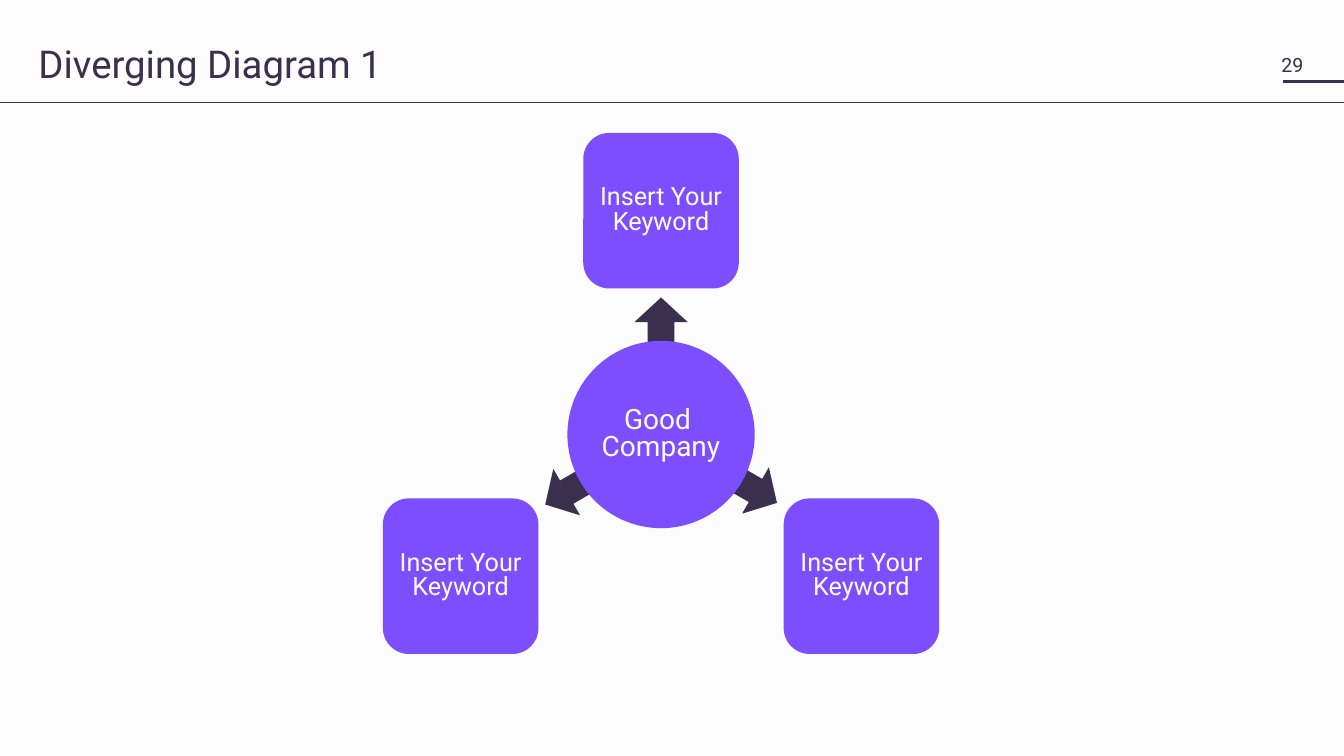
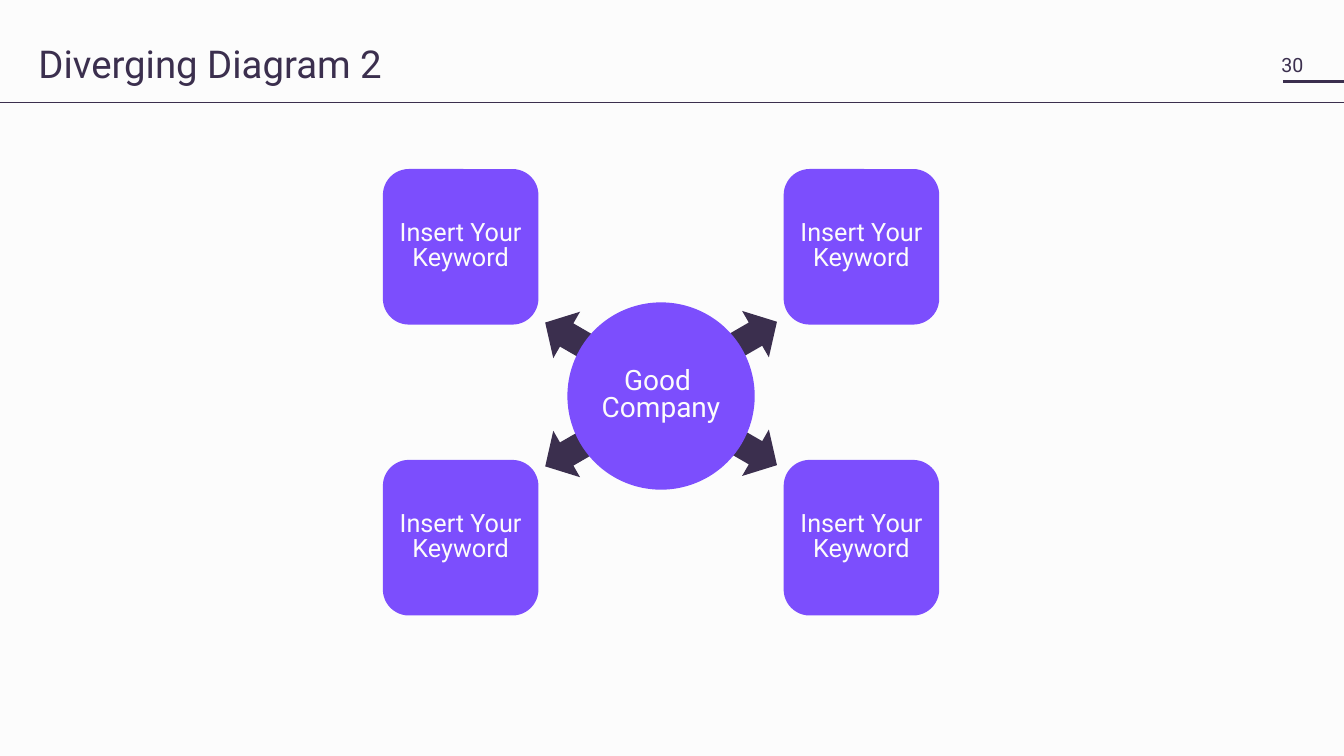
from dataclasses import dataclass

from lxml.etree import SubElement
from pptx import Presentation
from pptx.dml.color import RGBColor
from pptx.enum.shapes import MSO_CONNECTOR, MSO_SHAPE
from pptx.enum.text import MSO_ANCHOR, MSO_AUTO_SIZE, PP_ALIGN
from pptx.oxml.ns import qn
from pptx.util import Cm, Pt


@dataclass(frozen=True)
class Theme:
    """Colours, font and type sizes of the deck."""
    paper: RGBColor = RGBColor.from_string("FCFCFC")
    ink: RGBColor = RGBColor.from_string("3B2F4E")
    accent: RGBColor = RGBColor.from_string("7C4EFD")
    font: str = "Roboto"
    title: float = 27.4
    hub: float = 20
    keyword: float = 18
    number: float = 14


THEME = Theme()
WIDTH, HEIGHT = 33.87, 19.05
HUB_X, HUB_SIZE, BOX_SIZE = 16.66, 4.72, 3.92
ARROW_W, ARROW_H = 1.25, 1.35
BOX_DX, ARROW_DX = 5.05, 2.38

SLIDES = [
    {"title": "Diverging Diagram 1", "number": 29, "hub_y": 10.95,
     "spokes": [(0, -5.64, -2.83, 270), (1, 3.57, 1.41, 30),
                (-1, 3.57, 1.45, 150)]},
    {"title": "Diverging Diagram 2", "number": 30, "hub_y": 9.98,
     "spokes": [(1, -3.76, -1.56, 330), (-1, -3.76, -1.54, 210),
                (1, 3.57, 1.43, 30), (-1, 3.57, 1.46, 150)]},
]


def write(tf, text, size, color, align=PP_ALIGN.CENTER,
          anchor=MSO_ANCHOR.MIDDLE, spacing=1.0, inset=0, wrap=True):
    """Fill a text frame, one paragraph per line of text."""
    tf.auto_size = MSO_AUTO_SIZE.NONE
    tf.word_wrap = wrap
    tf.vertical_anchor = anchor
    tf.margin_left = tf.margin_right = Cm(inset)
    tf.margin_top = tf.margin_bottom = Cm(inset)
    for i, line in enumerate(text.split("\n")):
        p = tf.add_paragraph() if i else tf.paragraphs[0]
        p.alignment = align
        p.line_spacing = spacing
        p.space_before = Pt(0)
        r = p.add_run()
        r.text = line
        r.font.name = THEME.font
        r.font.size = Pt(size)
        r.font.color.rgb = color


class Deck:
    """Presentation style together with the current slide."""

    def __init__(self):
        """Set the slide size and the shared background."""
        self.prs = Presentation()
        self.prs.slide_width, self.prs.slide_height = Cm(WIDTH), Cm(HEIGHT)
        fill = self.prs.slide_master.background.fill
        fill.solid()
        fill.fore_color.rgb = THEME.paper

    def start(self, title, number):
        """Open a slide with its title, rules and page number."""
        self.s = self.prs.slides.add_slide(self.prs.slide_layouts[5])
        self.rule(32.33, 2.06, 2)
        self.rule(0, 2.59, 0.5)
        tb = self.s.shapes.add_textbox(Cm(32.11), Cm(1.17), Cm(0.91), Cm(0.94))
        write(tb.text_frame, str(number), THEME.number, THEME.ink,
              align=PP_ALIGN.LEFT, inset=0.18, wrap=False)
        sp = self.s.shapes.title
        sp.left, sp.top = Cm(0.84), Cm(1.14)
        sp.width, sp.height = Cm(29.03), Cm(1.37)
        write(sp.text_frame, title, THEME.title, THEME.ink, inset=0.13,
              align=PP_ALIGN.LEFT, anchor=MSO_ANCHOR.TOP, spacing=0.75)

    def rule(self, x, y, weight):
        """Draw a horizontal line from x to the right edge."""
        line = self.s.shapes.add_connector(
            MSO_CONNECTOR.STRAIGHT, Cm(x), Cm(y), Cm(WIDTH), Cm(y))
        line.line.color.rgb = THEME.ink
        line.line.width = Pt(weight)
        SubElement(line._element.spPr, qn("a:effectLst"))

    def shape(self, kind, x, y, w, h, color):
        """Add a flat shape centred on x, y."""
        sp = self.s.shapes.add_shape(
            kind, Cm(x - w / 2), Cm(y - h / 2), Cm(w), Cm(h))
        sp.shadow.inherit = False
        sp.fill.solid()
        sp.fill.fore_color.rgb = color
        sp.line.fill.background()
        return sp

    def arrow(self, x, y, angle):
        """Add an arrow turned to an angle."""
        sp = self.shape(MSO_SHAPE.RIGHT_ARROW, x, y, ARROW_W, ARROW_H, THEME.ink)
        sp.rotation = angle

    def hub(self, x, y, text):
        """Add the central circle."""
        sp = self.shape(MSO_SHAPE.OVAL, x, y, HUB_SIZE, HUB_SIZE, THEME.accent)
        write(sp.text_frame, text, THEME.hub, THEME.paper, spacing=0.8)

    def keyword(self, x, y, text):
        """Add a rounded keyword box."""
        sp = self.shape(MSO_SHAPE.ROUNDED_RECTANGLE, x, y,
                        BOX_SIZE, BOX_SIZE, THEME.accent)
        sp.adjustments[0] = 0.167
        write(sp.text_frame, text, THEME.keyword, THEME.paper,
              spacing=0.8, inset=0.13)

    def diagram(self, y, spokes):
        """Draw a hub at height y with arrows to its keyword boxes."""
        for side, _, arrow_dy, angle in spokes:
            self.arrow(HUB_X + side * ARROW_DX, y + arrow_dy, angle)
        self.hub(HUB_X, y, "Good \nCompany")
        for side, box_dy, _, _ in spokes:
            self.keyword(HUB_X + side * BOX_DX, y + box_dy,
                         "Insert Your Keyword")


def main():
    """Build and save the deck."""
    deck = Deck()
    for page in SLIDES:
        deck.start(page["title"], page["number"])
        deck.diagram(page["hub_y"], page["spokes"])
    deck.prs.save("out.pptx")


if __name__ == "__main__":
    main()
